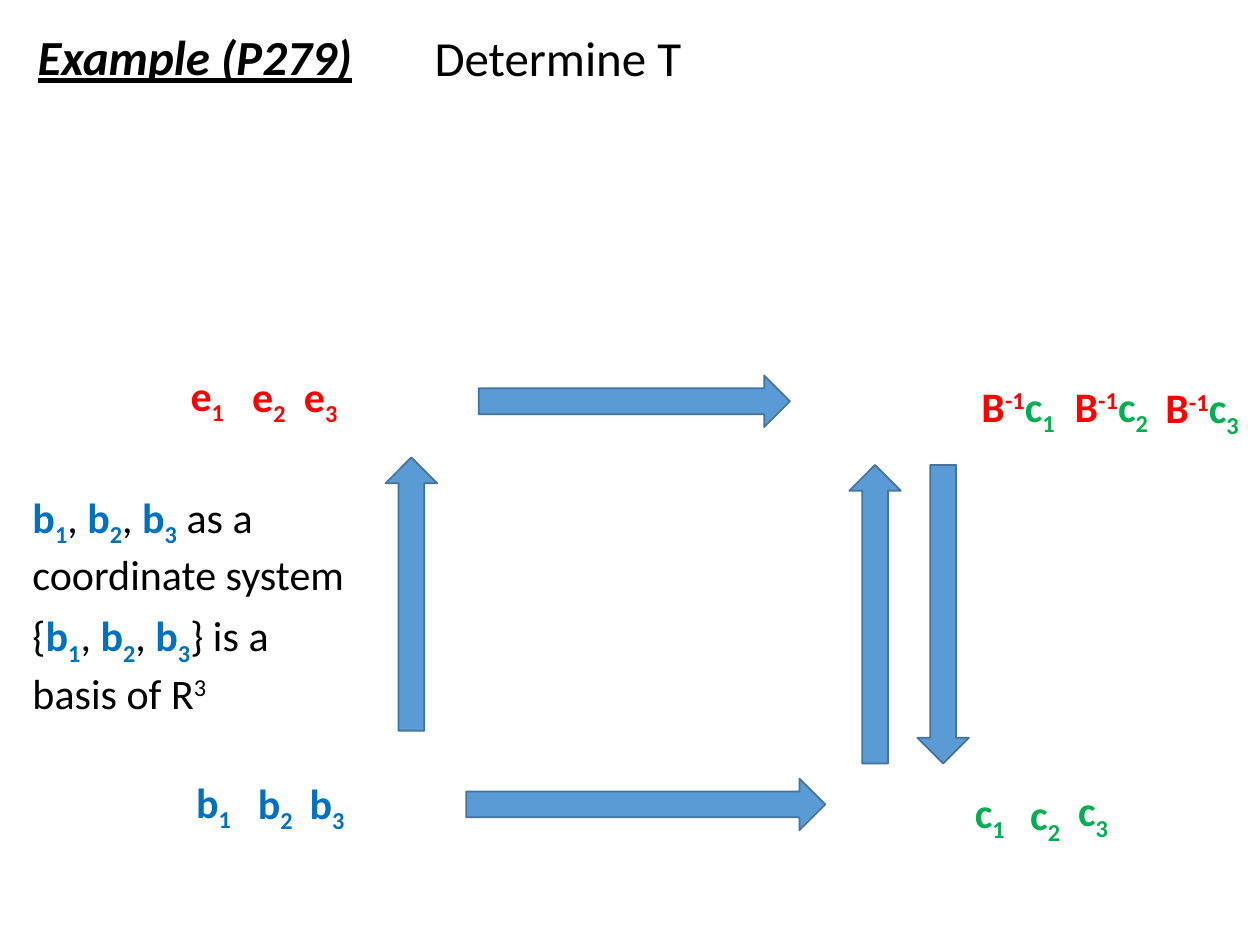
from pptx import Presentation
from pptx.dml.color import RGBColor
from pptx.enum.shapes import MSO_SHAPE
from pptx.enum.text import MSO_AUTO_SIZE, PP_ALIGN
from pptx.util import Inches, Pt

RIGHT_ARROW = MSO_SHAPE.RIGHT_ARROW
FIT_SHAPE = MSO_AUTO_SIZE.SHAPE_TO_FIT_TEXT
LEFT, CENTER = PP_ALIGN.LEFT, PP_ALIGN.CENTER

FONT = "Calibri"
COLORS = {
    "text": "000000",
    "e": "FF0000",
    "b": "0070C0",
    "c": "00B050",
    "arrow": "5B9BD5",
    "outline": "43739E",
}
SUB, SUPER = -25, 30  # baseline shift in percent
ARROW_H = 0.41


def rgb(name):
    return RGBColor.from_string(COLORS[name])


def run(text, color="text", bold=False, base=0, italic=False, underline=False):
    """Describe one text run."""
    return dict(text=text, color=color, bold=bold, base=base,
                italic=italic, underline=underline)


def vector(letter, index, lead=""):
    """Runs of a bold vector name with its subscript."""
    return [run(lead + letter, letter, True), run(str(index), letter, True, SUB)]


def vector_list(letter):
    """Runs of three vectors separated by commas."""
    runs = vector(letter, 1)
    for i in (2, 3):
        runs += [run(",")] + vector(letter, i, " ")
    return runs


def add_text(slide, x, y, w, h, runs, size=24, align=LEFT):
    s = slide.shapes.add_textbox(Inches(x), Inches(y), Inches(w), Inches(h))
    tf = s.text_frame
    tf.word_wrap = True
    tf.auto_size = FIT_SHAPE
    p = tf.paragraphs[0]
    p.alignment = align
    for item in runs:
        r = p.add_run()
        r.text = item["text"]
        f = r.font
        f.name, f.size = FONT, Pt(size)
        f.bold, f.italic, f.underline = item["bold"], item["italic"], item["underline"]
        f.color.rgb = rgb(item["color"])
        if item["base"]:
            r._r.get_or_add_rPr().set("baseline", str(item["base"] * 1000))


def add_arrow(slide, x, y, length, rotation=0):
    s = slide.shapes.add_shape(RIGHT_ARROW, Inches(x), Inches(y),
                               Inches(length), Inches(ARROW_H))
    s.rotation = rotation
    s.shadow.inherit = False
    s.fill.solid()
    s.fill.fore_color.rgb = rgb("arrow")
    s.line.color.rgb = rgb("outline")
    s.line.width = Pt(1)


def add_vectors(slide, letter, places, width=0.61, prefix=()):
    """Place vectors 1 to 3 of one family as separate labels."""
    for i, (x, y) in enumerate(places, start=1):
        add_text(slide, x, y, width, 0.5, [*prefix, *vector(letter, i)], align=CENTER)


def main():
    prs = Presentation()
    prs.slide_width, prs.slide_height = Inches(10), Inches(7.5)
    slide = prs.slides.add_slide(prs.slide_layouts[6])

    # Heading
    add_text(slide, 0.2, 0.16, 3.14, 0.57,
             [run("Example (P279)", bold=True, italic=True, underline=True)], 28)
    add_text(slide, 3.35, 0.17, 2.41, 0.57, [run("Determine T")], 28)

    # Mappings: bottom, left, right up, top, right down
    add_arrow(slide, 3.7, 6.18, 2.85)
    add_arrow(slide, 2.18, 4.51, 2.17, 270)
    add_arrow(slide, 5.76, 4.67, 2.37, 270)
    add_arrow(slide, 3.8, 2.98, 2.47)
    add_arrow(slide, 6.3, 4.67, 2.37, 90)

    # Vectors at the corners of the diagram
    add_vectors(slide, "b", [(1.39, 6.11), (1.88, 6.12), (2.29, 6.12)])
    add_vectors(slide, "c", [(7.55, 6.19), (7.99, 6.21), (8.37, 6.18)])
    add_vectors(slide, "e", [(1.34, 2.88), (1.83, 2.89), (2.24, 2.89)])
    inverse = [run("B", "e", True), run("-1", "e", True, SUPER)]
    add_vectors(slide, "c", [(7.62, 2.97), (8.36, 2.97), (9.08, 2.98)], 0.92, inverse)

    # Notes on the basis
    add_text(slide, 0.16, 3.85, 2.76, 0.91,
             vector_list("b") + [run(" as a coordinate system")])
    add_text(slide, 0.16, 4.79, 2.76, 0.91,
             [run("{"), *vector_list("b"), run("} is a basis of R"),
              run("3", base=SUPER)])

    prs.save("out.pptx")


if __name__ == "__main__":
    main()
